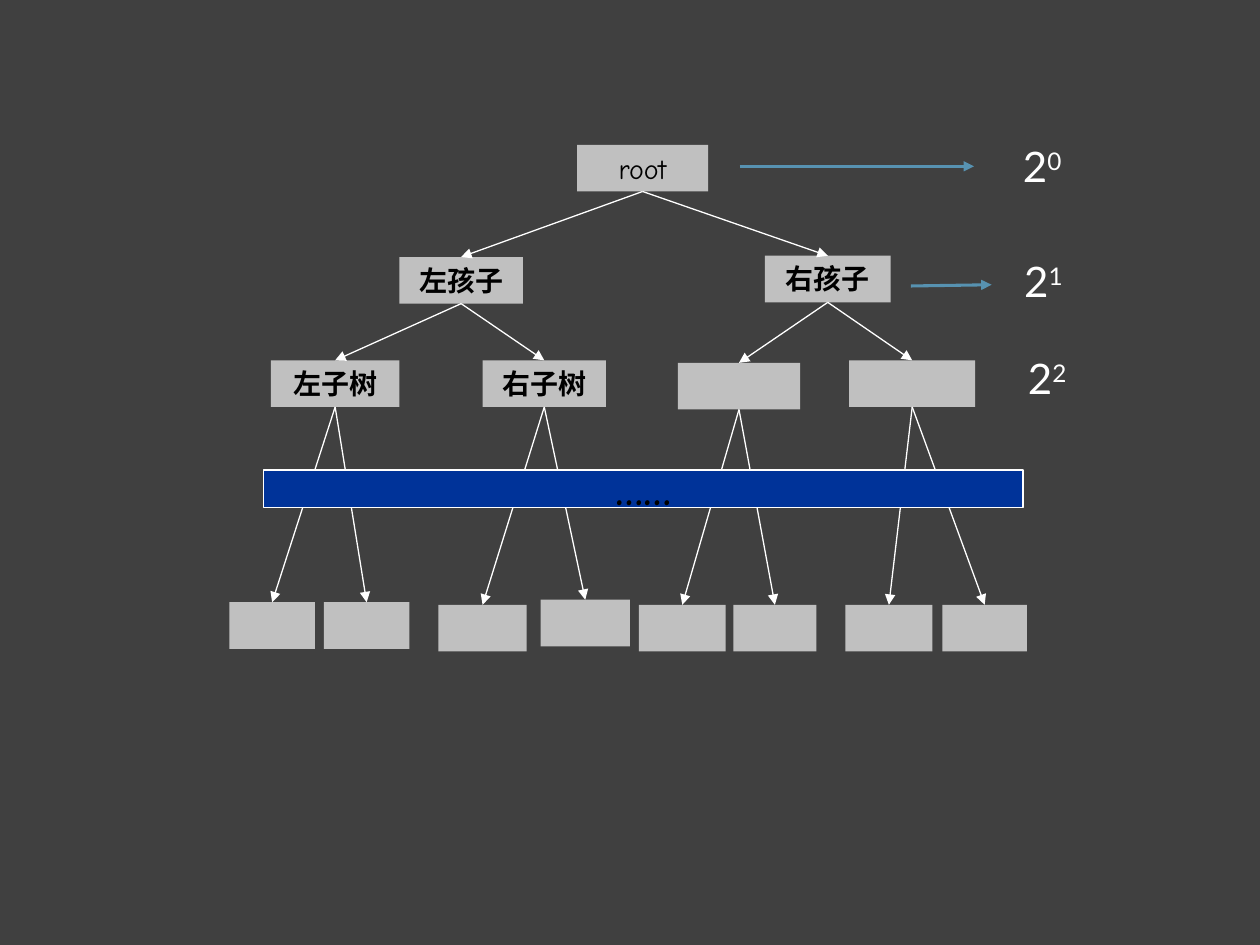
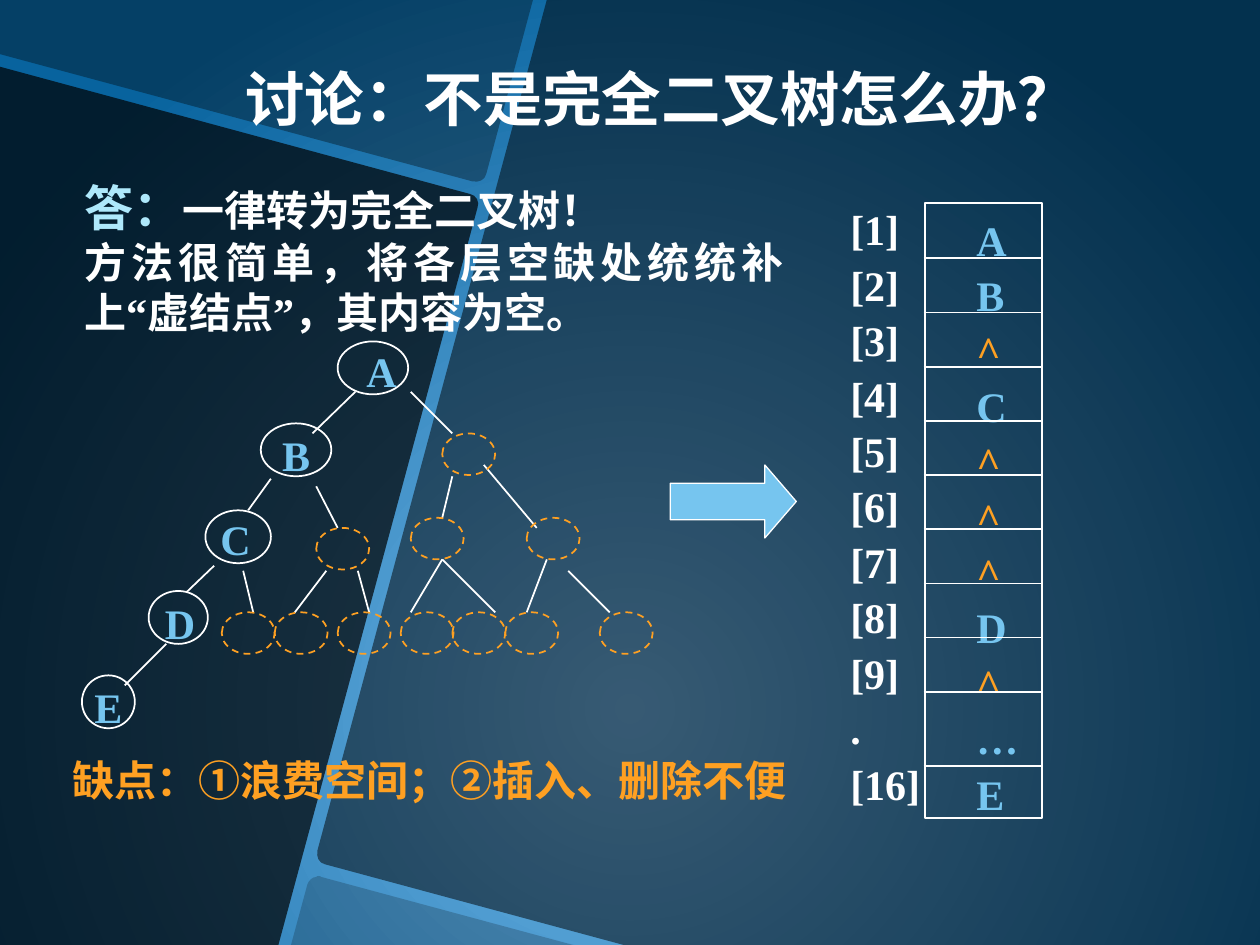
from dataclasses import dataclass

from lxml import etree
from pptx import Presentation
from pptx.dml.color import RGBColor
from pptx.enum.dml import MSO_LINE
from pptx.enum.shapes import MSO_CONNECTOR, MSO_SHAPE
from pptx.enum.text import MSO_ANCHOR, MSO_AUTO_SIZE, PP_ALIGN
from pptx.oxml.ns import qn
from pptx.util import Cm, Pt

RECTANGLE, OVAL, ARROW = MSO_SHAPE.RECTANGLE, MSO_SHAPE.OVAL, MSO_SHAPE.RIGHT_ARROW
STRAIGHT = MSO_CONNECTOR.STRAIGHT
CENTER, RIGHT, JUSTIFY = PP_ALIGN.CENTER, PP_ALIGN.RIGHT, PP_ALIGN.JUSTIFY
MIDDLE, BOTTOM = MSO_ANCHOR.MIDDLE, MSO_ANCHOR.BOTTOM
FIT_SHAPE, NO_FIT = MSO_AUTO_SIZE.SHAPE_TO_FIT_TEXT, MSO_AUTO_SIZE.NONE
DASH = MSO_LINE.DASH
TOP_SITE, BOTTOM_SITE = 0, 2

COLORS = {
    "grey": "404040", "node": "C0C0C0", "bar": "003399", "level": "5792B1",
    "white": "FFFFFF", "black": "000000", "sky": "76C5EF", "ice": "AEE8FB",
    "orange": "FEA022", "glow": "70B6E8", "deep": "08639E",
}
COMIC, LATO, SLAB = "Comic Neue", "Lato", "Roboto Slab"
HAN, TIMES = "Noto Sans CJK SC", "Times New Roman"


@dataclass
class Span:
    text: str
    size: float
    font: str
    color: str = "white"
    bold: bool = True
    raised: bool = False


@dataclass
class Node:
    left: float
    top: float
    width: float
    text: str = ""
    children: tuple["Node", ...] = ()


@dataclass
class Ring:
    left: float
    top: float
    width: float
    letter: str
    letter_left: float
    letter_top: float


@dataclass
class Panel:
    shade: int  # percent of black
    steps: list[tuple[float, ...]]  # two numbers: a corner; six: a Bézier bend


def inch(value: float) -> Cm:
    return Cm(2.54 * value)


def rgb(name: str) -> RGBColor:
    return RGBColor.from_string(COLORS[name])


# ---- Shared drawing functions ----
def write(para, spans: list[Span], align=None, spacing: float | None = None) -> None:
    para.alignment = align
    para.line_spacing = spacing
    for item in spans:
        span = para.add_run()
        span.text = item.text
        span.font.size, span.font.bold = Pt(item.size), item.bold
        span.font.color.rgb = rgb(item.color)
        span.font.name = item.font
        properties = span.font._element
        etree.SubElement(properties, qn("a:ea")).set("typeface", item.font)
        if item.raised:
            properties.set("baseline", "30000")


def add_text(page, place: tuple, paras: list[list[Span]], wrap: bool = False,
             align=None, spacing: float | None = None) -> None:
    frame = page.shapes.add_textbox(*map(inch, place)).text_frame
    frame.word_wrap, frame.auto_size = wrap, FIT_SHAPE
    for index, spans in enumerate(paras):
        para = frame.add_paragraph() if index else frame.paragraphs[0]
        write(para, spans, align, spacing)


def add_box(page, kind, place: tuple, fill: str | None = None,
            line: str | None = None, weight: float = 1, dashed: bool = False):
    box = page.shapes.add_shape(kind, *map(inch, place))
    box.shadow.inherit = False
    if fill:
        box.fill.solid()
        box.fill.fore_color.rgb = rgb(fill)
    else:
        box.fill.background()
    if line:
        box.line.color.rgb = rgb(line)
        box.line.width = Pt(weight)
        if dashed:
            box.line.dash_style = DASH
    else:
        box.line.fill.background()
    return box


def add_line(page, ends: tuple = (0, 0, 0, 0), color: str = "white",
             weight: float = 1, arrow: bool = False):
    line = page.shapes.add_connector(STRAIGHT, *map(inch, ends))
    line.line.color.rgb = rgb(color)
    line.line.width = Pt(weight)
    properties = line.element.spPr
    if arrow:
        etree.SubElement(properties.find(qn("a:ln")), qn("a:tailEnd")).set("type", "triangle")
    etree.SubElement(properties, qn("a:effectLst"))
    return line


# ---- Slide 1: levels of a binary tree ----
TREE = Node(4.58, 1.15, 1.04, "root", (
    Node(3.17, 2.04, 0.98, "左孩子", (
        Node(2.15, 2.86, 1.02, "左子树", (Node(1.82, 4.78, 0.68), Node(2.57, 4.78, 0.68))),
        Node(3.83, 2.86, 0.98, "右子树", (Node(3.48, 4.8, 0.7), Node(4.29, 4.76, 0.71))),
    )),
    Node(6.07, 2.03, 1, "右孩子", (
        Node(5.38, 2.88, 0.97, "", (Node(5.07, 4.8, 0.69), Node(5.82, 4.8, 0.66))),
        Node(6.74, 2.86, 1, "", (Node(6.71, 4.8, 0.69), Node(7.48, 4.8, 0.67))),
    )),
))
POWERS = [("0", 8.02, 1.07), ("1", 8.03, 1.98), ("2", 8.06, 2.75)]
LEVEL_ARROWS = [(5.87, 1.32, 7.73, 1.32), (7.23, 2.27, 7.87, 2.26)]


def draw_node(page, node: Node):
    box = add_box(page, RECTANGLE, (node.left, node.top, node.width, 0.37), "node")
    if node.text:
        span = Span(node.text, 16, COMIC, "black", bold=node is not TREE)
        box.text_frame.vertical_anchor = MSO_ANCHOR.TOP
        write(box.text_frame.paragraphs[0], [span], CENTER)
    for child in node.children:
        child_box = draw_node(page, child)
        edge = add_line(page, weight=0.75, arrow=True)
        edge.begin_connect(box, BOTTOM_SITE)
        edge.end_connect(child_box, TOP_SITE)
    return box


def build_levels(deck) -> None:
    page = deck.slides.add_slide(deck.slide_layouts[6])
    page.background.fill.solid()
    page.background.fill.fore_color.rgb = rgb("grey")
    draw_node(page, TREE)

    # Bar for the levels left out
    bar = add_box(page, RECTANGLE, (2.09, 3.73, 6.03, 0.3), "bar", "white", 0.75)
    bar.text_frame.word_wrap = False
    bar.text_frame.vertical_anchor = MIDDLE
    write(bar.text_frame.paragraphs[0], [Span("……", 24, COMIC, "black")], CENTER)

    # Number of nodes in each level
    for power, left, top in POWERS:
        add_text(page, (left, top, 0.51, 0.5), [[
            Span("2", 24, LATO, bold=False),
            Span(power, 24, LATO, bold=False, raised=True)]])
    for ends in LEVEL_ARROWS:
        add_line(page, ends, "level", 1.75, arrow=True)


# ---- Slide 2: filling up an incomplete tree ----
PANELS = [
    Panel(70, [(0, 0.53), (3.73, 1.54), (3.78, 1.55, 3.81, 1.6, 3.79, 1.65),
               (2.21, 7.5), (0, 7.5)]),
    Panel(35, [(0, 0), (4.23, 0), (3.86, 1.38), (3.85, 1.43, 3.8, 1.45, 3.75, 1.44),
               (0, 0.43)]),
    Panel(20, [(2.51, 6.96), (2.52, 6.95, 2.54, 6.95, 2.55, 6.96), (4.55, 7.5),
               (2.31, 7.5), (2.44, 7.02), (2.45, 6.99, 2.48, 6.96, 2.51, 6.96)]),
    Panel(50, [(4.34, 0), (10, 0), (10, 7.5), (4.95, 7.5), (2.58, 6.86),
               (2.53, 6.85, 2.51, 6.8, 2.52, 6.75)]),
]
RINGS = [
    Ring(2.68, 2.71, 0.56, "A", 2.81, 2.69), Ring(2.07, 3.36, 0.56, "B", 2.14, 3.36),
    Ring(1.63, 4.05, 0.52, "C", 1.65, 4.03), Ring(1.18, 4.69, 0.47, "D", 1.21, 4.69),
    Ring(0.65, 5.36, 0.42, "E", 0.65, 5.36),
]
# Tops of the rows of virtual nodes, each with its lefts
VIRTUAL_ROWS = {
    3.44: [3.51], 4.11: [3.26, 4.18], 4.19: [2.51],
    4.86: [1.76, 2.18, 2.68, 3.18, 3.59, 4.01, 4.76],
}
EDGES = [
    (1.32, 5.11, 0.99, 5.44), (2.15, 3.8, 1.97, 4.05), (1.7, 4.49, 1.48, 4.7),
    (2.82, 3.11, 2.48, 3.44), (3.26, 3.11, 3.59, 3.44), (3.84, 3.69, 4.26, 4.19),
    (2.51, 3.86, 2.68, 4.19), (1.93, 4.53, 2.01, 4.86), (4.51, 4.53, 4.84, 4.86),
    (2.84, 4.53, 2.93, 4.86), (3.59, 3.78, 3.51, 4.11), (3.51, 4.44, 3.93, 4.86),
    (2.59, 4.53, 2.34, 4.86), (3.51, 4.44, 3.26, 4.86), (4.34, 4.44, 4.18, 4.86),
]
CELLS = "AB^C^^^D^…E"
INDEXES = [f"[{number}]" for number in range(1, 10)] + [".", "[16]"]


def outline(steps: list[tuple[float, ...]]) -> list[tuple[int, int]]:
    """Turn corners and Bézier bends into points."""
    points = []
    for step in steps:
        if len(step) == 6:
            knots = [points[-1], step[:2], step[2:4], step[4:]]
            for part in (0.25, 0.5, 0.75, 1):
                rest = 1 - part
                weights = (rest**3, 3 * rest**2 * part, 3 * rest * part**2, part**3)
                points.append(tuple(sum(weight * knot[axis] for weight, knot
                                        in zip(weights, knots)) for axis in (0, 1)))
        else:
            points.append(step)
    return [(inch(x), inch(y)) for x, y in points]


def draw_backdrop(page) -> None:
    fill = page.background.fill
    fill.gradient()
    for stop, color in zip(fill.gradient_stops, ("glow", "deep")):
        stop.color.rgb = rgb(color)
    gradient = page.element.find(".//" + qn("a:gradFill"))
    gradient.remove(gradient.find(qn("a:lin")))
    circle = etree.SubElement(gradient, qn("a:path"))
    circle.set("path", "circle")
    center = etree.SubElement(circle, qn("a:fillToRect"))
    for side, share in zip("ltrb", (50, 50, 50, 0)):
        center.set(side, str(share * 1000))

    for panel in PANELS:
        start, *others = outline(panel.steps)
        builder = page.shapes.build_freeform(*start)
        builder.add_line_segments(others, close=True)
        shade = builder.convert_to_shape()
        shade.shadow.inherit = False
        shade.fill.solid()
        shade.fill.fore_color.rgb = rgb("black")
        shade.line.fill.background()
        color = shade.element.find(".//" + qn("a:srgbClr"))
        etree.SubElement(color, qn("a:alpha")).set("val", str(panel.shade * 1000))


def draw_title(page) -> None:
    title = page.shapes.title
    title.left, title.top, title.width, title.height = map(inch, (1.4, 0.44, 7.25, 0.67))
    title.element.getparent().append(title.element)  # in front of the panels
    frame = title.text_frame
    frame.word_wrap, frame.auto_size, frame.vertical_anchor = True, NO_FIT, BOTTOM
    write(frame.paragraphs[0], [Span("讨论：", 34, SLAB),
                                Span("不是完全二叉树怎么办？", 34, HAN)], RIGHT)


def draw_array(page) -> None:
    cells = [[Span(cell, 24, TIMES, "orange" if cell == "^" else "sky")] for cell in CELLS]
    add_text(page, (7.65, 1.61, 0.53, 4.93), cells, wrap=True, spacing=1.1)
    add_box(page, RECTANGLE, (7.34, 1.61, 0.93, 4.88), line="white")
    for height in [2.05 + 0.43 * row for row in range(9)] + [6.08]:
        add_line(page, (7.33, height, 8.28, height))
    add_text(page, (6.65, 1.53, 0.76, 4.93),
             [[Span(index, 24, TIMES)] for index in INDEXES], spacing=1.1)


def build_discussion(deck) -> None:
    page = deck.slides.add_slide(deck.slide_layouts[5])
    draw_backdrop(page)
    draw_title(page)
    add_text(page, (0.57, 1.36, 5.75, 1.37), [
        [Span("答：", 28, HAN, "ice"), Span("一律转为完全二叉树！", 24, HAN)],
        [Span("方法很简单，将各层空缺处统统补上", 24, HAN), Span("“", 24, TIMES),
         Span("虚结点", 24, HAN), Span("”", 24, TIMES), Span("，其内容为空。", 24, HAN)],
    ], wrap=True, align=JUSTIFY)
    draw_array(page)

    # Tree with real and virtual nodes
    for ring in RINGS:
        add_box(page, OVAL, (ring.left, ring.top, ring.width, 0.42), line="white")
        add_text(page, (ring.letter_left, ring.letter_top, 0.44, 0.5),
                 [[Span(ring.letter, 24, TIMES, "sky")]])
    for ends in EDGES:
        add_line(page, ends)
    for top, lefts in VIRTUAL_ROWS.items():
        for left in lefts:
            add_box(page, OVAL, (left, top, 0.42, 0.33), line="orange", dashed=True)

    # Arrow to the array, and the drawbacks
    arrow = add_box(page, ARROW, (5.32, 3.69, 1, 0.58), "sky", "white", 0.75)
    arrow.adjustments[1] = 0.43
    add_text(page, (0.48, 5.94, 6.08, 0.5),
             [[Span("缺点：①浪费空间；②插入、删除不便", 24, HAN, "orange")]], wrap=True)


def main() -> None:
    deck = Presentation()
    deck.slide_width, deck.slide_height = Cm(25.4), Cm(19.05)
    build_levels(deck)
    build_discussion(deck)
    deck.save("out.pptx")


if __name__ == "__main__":
    main()
